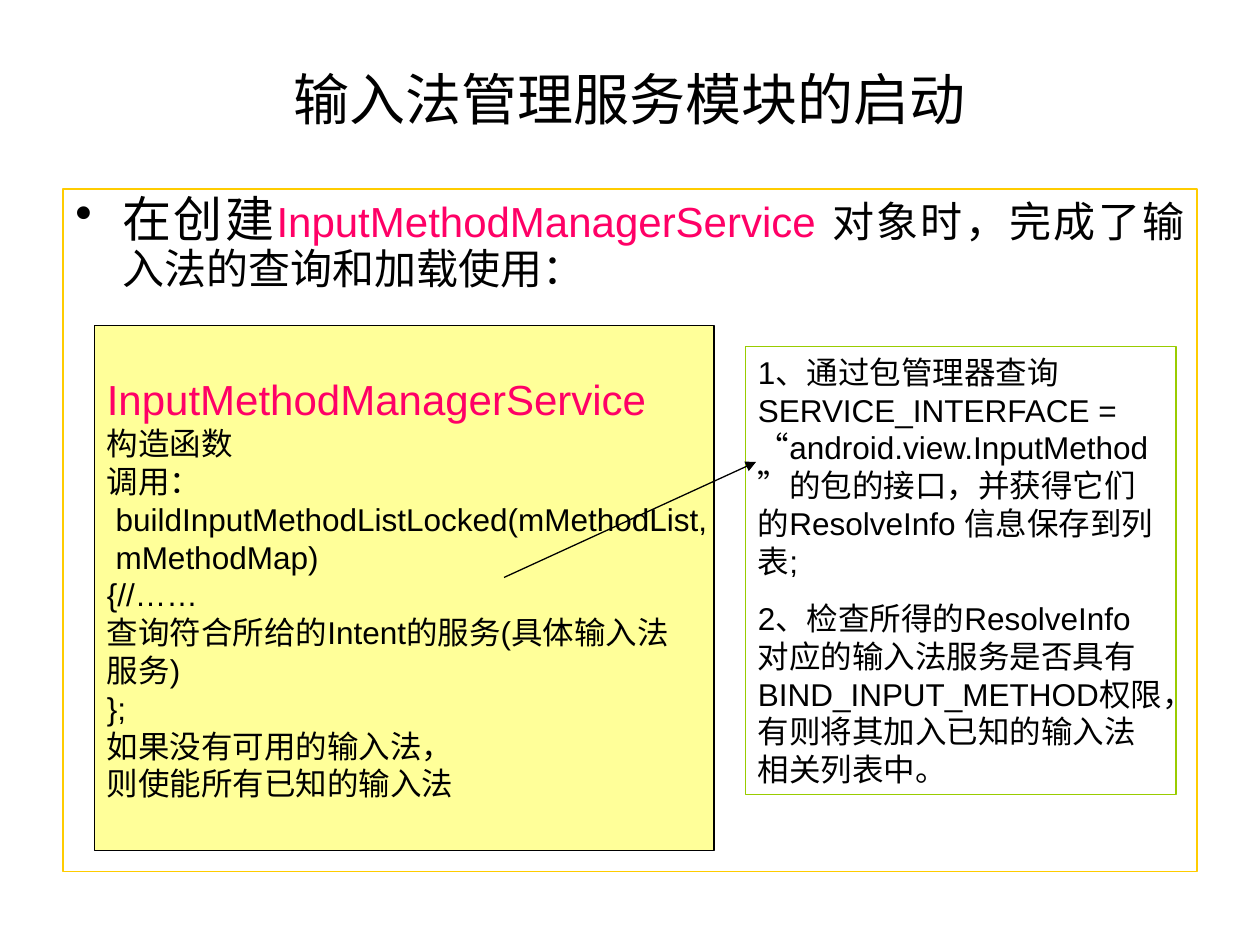
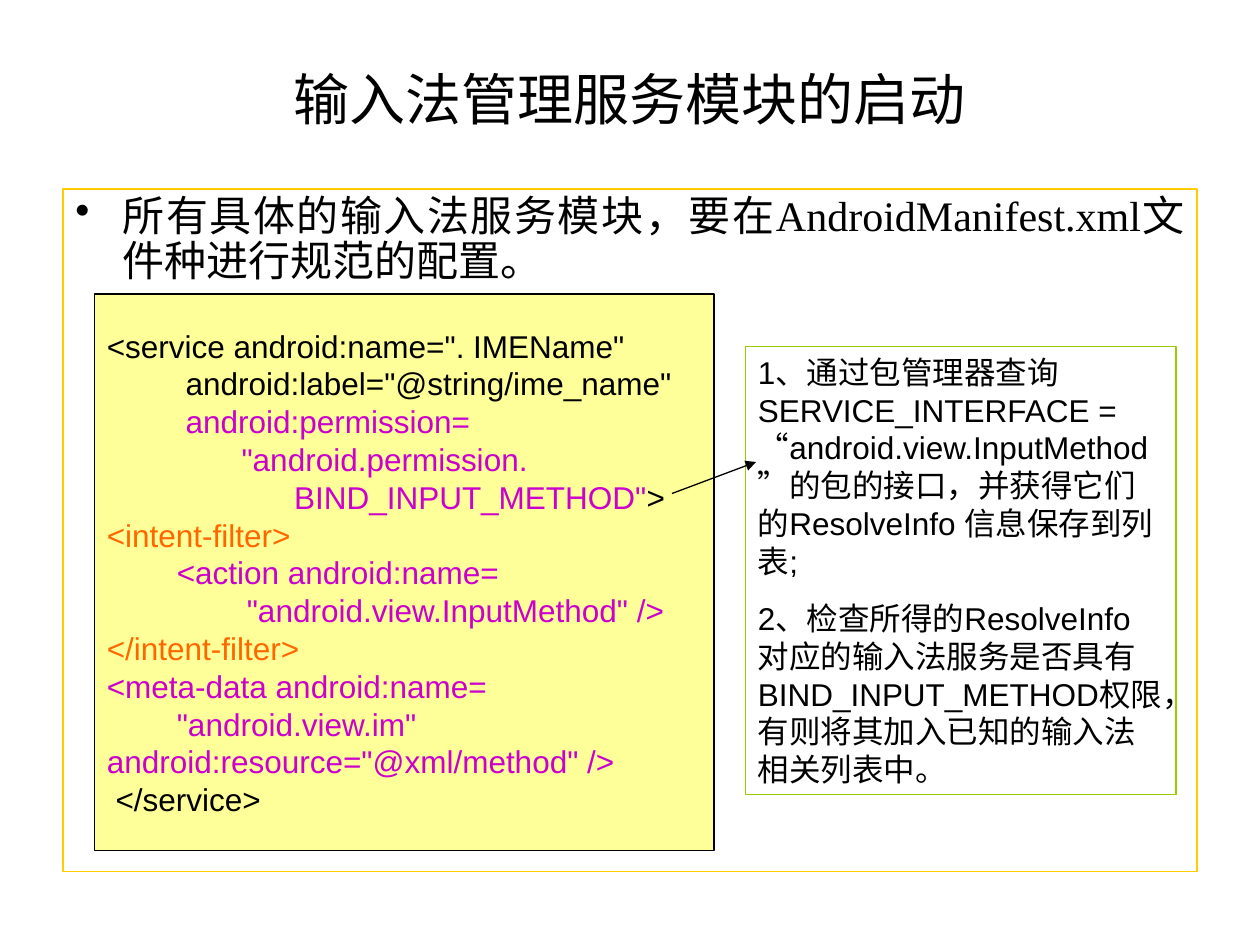
import pptx
import pptx.util
import pptx.dml.color
import pptx.enum.shapes
import pptx.enum.text
import pptx.oxml.ns
from dataclasses import dataclass
from lxml import etree

Pt = pptx.util.Pt
Anchor = pptx.enum.text.MSO_ANCHOR
Align = pptx.enum.text.PP_ALIGN


@dataclass(frozen=True)
class Theme:
    text: str = "000000"
    frame: str = "FFCC00"
    note_line: str = "99CC00"
    code_fill: str = "FFFF99"
    pink: str = "FF0066"
    purple: str = "CC00CC"
    orange: str = "FF6600"
    sans: str = "Arial"
    serif: str = "Times New Roman"
    title_size: int = 32
    lead_size: int = 28
    body_size: int = 24
    note_size: int = 18
    line_width: float = 0.75


@dataclass
class Run:
    text: str
    color: str = None
    size: int = None
    name: str = None


THEME = Theme()
TITLE = "输入法管理服务模块的启动"
NOTES = [
    "1、通过包管理器查询SERVICE_INTERFACE = “android.view.InputMethod”的包的接口，并获得它们的ResolveInfo 信息保存到列表;",
    "2、检查所得的ResolveInfo 对应的输入法服务是否具有BIND_INPUT_METHOD权限，有则将其加入已知的输入法相关列表中。",
]


def rgb(color):
    return pptx.dml.color.RGBColor.from_string(color)


def set_font(font, color=None, size=None, name=None):
    if color:
        font.color.rgb = rgb(color)
    if size:
        font.size = Pt(size)
    if name:
        font.name = name


class SlideBuilder:
    """Holds the theme and the slide being filled."""

    def __init__(self, presentation, theme):
        self.presentation = presentation
        self.theme = theme
        self.slide = None

    def new_slide(self):
        blank = self.presentation.slide_layouts[6]
        self.slide = self.presentation.slides.add_slide(blank)

    def box(self, left, top, width, height, line=None, fill=None, anchor=Anchor.TOP):
        shape = self.slide.shapes.add_textbox(Pt(left), Pt(top), Pt(width), Pt(height))
        if line:
            shape.line.color.rgb = rgb(line)
            shape.line.width = Pt(self.theme.line_width)
        if fill:
            shape.fill.solid()
            shape.fill.fore_color.rgb = rgb(fill)
        frame = shape.text_frame
        frame.word_wrap = True
        frame.vertical_anchor = anchor
        return frame

    def paragraph(self, frame, runs, size, color=None, name=None, indent=0):
        """Write runs (a string, or a list of Run) in the next paragraph."""
        first = frame.paragraphs[0]
        paragraph = frame.add_paragraph() if first.runs else first
        set_font(paragraph.font, color or self.theme.text, size, name or self.theme.sans)
        if indent:
            paragraph._p.get_or_add_pPr().set("marL", str(Pt(indent)))
        for part in [Run(runs)] if isinstance(runs, str) else runs:
            run = paragraph.add_run()
            run.text = part.text
            set_font(run.font, part.color, part.size, part.name)
        return paragraph

    def title(self, text):
        frame = self.box(36, 21.6, 648, 68.4, anchor=Anchor.MIDDLE)
        self.paragraph(frame, text, self.theme.title_size).alignment = Align.CENTER

    def body(self, runs):
        frame = self.box(36, 108, 648, 390, line=self.theme.frame)
        paragraph = self.paragraph(frame, runs, self.theme.body_size, name=self.theme.serif)
        paragraph.alignment = Align.JUSTIFY
        paragraph.line_spacing = 0.9
        properties = paragraph._p.get_or_add_pPr()
        properties.set("marL", str(Pt(27)))
        properties.set("indent", str(Pt(-27)))
        bullet = etree.Element(pptx.oxml.ns.qn("a:buChar"), char="•")
        properties.find(pptx.oxml.ns.qn("a:defRPr")).addprevious(bullet)

    def notes(self, texts):
        frame = self.box(426, 198, 246, 256, line=self.theme.note_line)
        frame.auto_size = pptx.enum.text.MSO_AUTO_SIZE.SHAPE_TO_FIT_TEXT
        for text in texts:
            self.paragraph(frame, text, self.theme.note_size).space_before = Pt(11.2)

    def code(self, top, lines):
        """Each line is (indent, runs, color, size); color and size may be None."""
        frame = self.box(54, top, 354, 486 - top, self.theme.text,
                         self.theme.code_fill, Anchor.MIDDLE)
        frame.margin_right = 0
        for indent, runs, color, size in lines:
            self.paragraph(frame, runs, size or self.theme.note_size, color, indent=indent)

    def arrow(self, x, y):
        """Arrow from (x, y) to the notes."""
        connector = self.slide.shapes.add_connector(
            pptx.enum.shapes.MSO_CONNECTOR.STRAIGHT, Pt(x), Pt(y), Pt(432), Pt(264))
        connector.line.color.rgb = rgb(self.theme.text)
        connector.line.width = Pt(self.theme.line_width)
        line = connector.line._get_or_add_ln()
        etree.SubElement(line, pptx.oxml.ns.qn("a:tailEnd"), type="triangle")
        etree.SubElement(connector._element.spPr, pptx.oxml.ns.qn("a:effectLst"))

    def startup_slide(self, body, code_top, code_lines, arrow_start):
        """The arrangement both slides share."""
        self.new_slide()
        self.title(TITLE)
        self.body(body)
        self.notes(NOTES)
        self.code(code_top, code_lines)
        self.arrow(*arrow_start)


def main():
    presentation = pptx.Presentation()
    presentation.slide_width = Pt(720)
    presentation.slide_height = Pt(540)
    builder = SlideBuilder(presentation, THEME)

    # Slide 1: the service constructor
    constructor = [
        (0, "InputMethodManagerService", THEME.pink, THEME.body_size),
        (0, "构造函数", None, None),
        (0, "调用：", None, None),
        (5, "buildInputMethodListLocked(mMethodList,", None, None),
        (5, "mMethodMap)", None, None),
        (0, "{//……", None, None),
        (0, "查询符合所给的Intent的服务(具体输入法", None, None),
        (0, "服务)", None, None),
        (0, "};", None, None),
        (0, "如果没有可用的输入法，", None, None),
        (0, "则使能所有已知的输入法", None, None),
    ]
    builder.startup_slide(
        [Run("在创建", size=THEME.lead_size),
         Run("InputMethodManagerService ", THEME.pink, name=THEME.sans),
         Run("对象时，完成了输入法的查询和加载使用：", name=THEME.sans)],
        186, constructor, (288, 330))

    # Slide 2: the manifest entry
    manifest = [
        (0, '<service android:name=". IMEName"', None, None),
        (45, 'android:label="@string/ime_name"', None, None),
        (45, "android:permission=", THEME.purple, None),
        (77, '"android.permission.', THEME.purple, None),
        (107, [Run('BIND_INPUT_METHOD"', THEME.purple), Run(">")], None, None),
        (0, "<intent-filter>", THEME.orange, None),
        (40, "<action android:name=", THEME.purple, None),
        (80, '"android.view.InputMethod" />', THEME.purple, None),
        (0, "</intent-filter>", THEME.orange, None),
        (0, "<meta-data android:name=", THEME.purple, None),
        (40, '"android.view.im"', THEME.purple, None),
        (0, 'android:resource="@xml/method" />', THEME.purple, None),
        (5, "</service>", None, None),
    ]
    builder.startup_slide(
        "所有具体的输入法服务模块，要在AndroidManifest.xml文件种进行规范的配置。",
        168, manifest, (384, 282))

    presentation.save("out.pptx")


if __name__ == "__main__":
    main()
